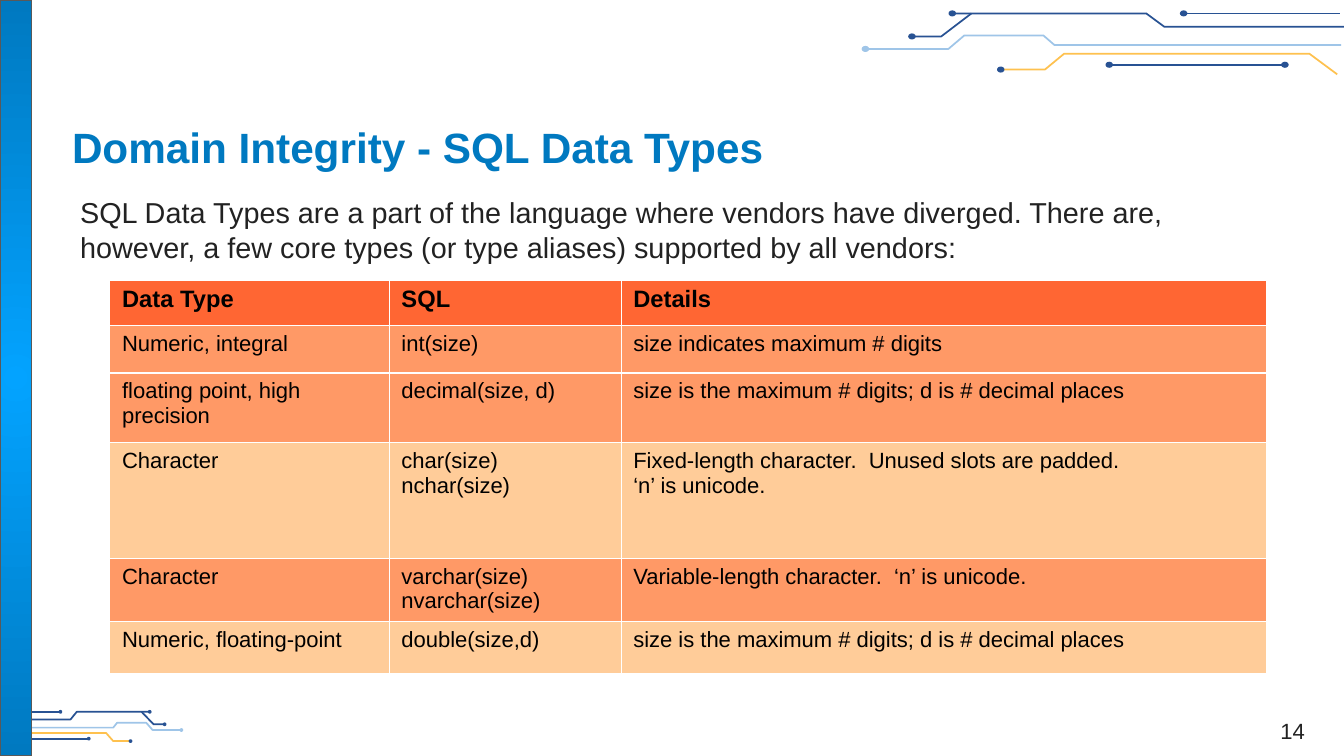
from lxml import etree
from pptx import Presentation
from pptx.dml.color import RGBColor
from pptx.enum.shapes import MSO_CONNECTOR, MSO_SHAPE
from pptx.enum.text import MSO_ANCHOR, MSO_AUTO_SIZE, PP_ALIGN
from pptx.oxml import parse_xml
from pptx.oxml.ns import nsdecls, qn
from pptx.util import Cm, Pt

STRAIGHT = MSO_CONNECTOR.STRAIGHT
OVAL, RECTANGLE = MSO_SHAPE.OVAL, MSO_SHAPE.RECTANGLE
TOP, MIDDLE, BOTTOM = MSO_ANCHOR.TOP, MSO_ANCHOR.MIDDLE, MSO_ANCHOR.BOTTOM
LEFT, CENTER = PP_ALIGN.LEFT, PP_ALIGN.CENTER
NO_AUTOFIT = MSO_AUTO_SIZE.NONE
TITLE_ONLY = 5

NAVY = RGBColor(0x28, 0x52, 0x93)
SKY = RGBColor(0x9F, 0xC5, 0xE8)
GOLD = RGBColor(0xFE, 0xC1, 0x4F)
BLUE = RGBColor(0x00, 0x79, 0xC0)
BRIGHT_BLUE = RGBColor(0x03, 0xA3, 0xFF)
GRAY = RGBColor(0x59, 0x59, 0x59)
INK = RGBColor(0x22, 0x22, 0x22)
BLACK = RGBColor(0x00, 0x00, 0x00)
HEADER_ORANGE = RGBColor(0xFF, 0x66, 0x33)
ORANGE = RGBColor(0xFF, 0x99, 0x66)
PEACH = RGBColor(0xFF, 0xCC, 0x99)

BOTTOM_TRACES = [
    (NAVY, [(0.08, 14.99), (1.47, 14.99), (1.6, 14.83), (3.12, 14.83)]),
    (NAVY, [(2.95, 14.83), (3.2, 15.09), (3.43, 15.09)]),
    (NAVY, [(0, 14.83), (1.26, 14.83)]),
    (GOLD, [(0.03, 15.49), (0.25, 15.27), (2.21, 15.27), (2.36, 15.44), (2.72, 15.44)]),
    (NAVY, [(0.46, 15.39), (1.85, 15.39)]),
    (SKY, [(0.18, 15.16), (2.36, 15.16), (2.44, 15.06), (3.05, 15.06),
           (3.18, 15.21), (3.78, 15.21)]),
]
TOP_TRACES = [
    (NAVY, [(28, 0.56), (24.26, 0.56), (23.88, 0.28), (19.84, 0.28)]),
    (NAVY, [(20.24, 0.28), (19.61, 0.76), (19, 0.76)]),
    (NAVY, [(27.91, 0.28), (24.66, 0.28)]),
    (GOLD, [(27.86, 1.55), (27.28, 1.12), (22.17, 1.12), (21.77, 1.45), (20.85, 1.45)]),
    (NAVY, [(26.77, 1.35), (23.11, 1.35)]),
    (SKY, [(27.94, 0.94), (21.97, 0.94), (21.74, 0.74), (20.09, 0.74),
           (19.76, 1.02), (18.03, 1.02)]),
]
DOUBLE_DOT_TRACE = 4

COLUMN_WIDTHS = [5.82, 4.83, 13.44]
DECIMAL_DETAILS = "size is the maximum # digits; d is # decimal places"
DATA_TYPE_ROWS = [
    (0.94, HEADER_ORANGE, ["Data Type", "SQL", "Details"]),
    (0.99, ORANGE, ["Numeric, integral", "int(size)", "size indicates maximum # digits"]),
    (1.45, ORANGE, ["floating point, high precision", "decimal(size, d)", DECIMAL_DETAILS]),
    (2.41, PEACH, ["Character", "char(size)\nnchar(size)",
                   "Fixed-length character.  Unused slots are padded.\n‘n’ is unicode."]),
    (1.32, ORANGE, ["Character", "varchar(size)\nnvarchar(size)",
                    "Variable-length character.  ‘n’ is unicode."]),
    (1.09, PEACH, ["Numeric, floating-point", "double(size,d)", DECIMAL_DETAILS]),
]


class SlideBuilder:
    font = "Arial"
    trace_width = Pt(1.03)
    thin_line = Pt(0.75)

    def __init__(self, presentation):
        self.slide = presentation.slides.add_slide(presentation.slide_layouts[TITLE_ONLY])
        self.shapes = self.slide.shapes

    def add_runs(self, frame, text, size, color, bold=False, align=LEFT, before=0):
        for index, line in enumerate(text.split("\n")):
            paragraph = frame.paragraphs[0] if index == 0 else frame.add_paragraph()
            paragraph.alignment = align
            paragraph.space_before = Pt(before)
            run = paragraph.add_run()
            run.text = line
            run.font.name = self.font
            run.font.size = Pt(size)
            run.font.bold = bold
            run.font.color.rgb = color

    def place_text(self, shape, box, inset, anchor, text, size, color, **style):
        shape.left, shape.top, shape.width, shape.height = map(Cm, box)
        frame = shape.text_frame
        frame.word_wrap = True
        frame.auto_size = NO_AUTOFIT
        frame.vertical_anchor = anchor
        frame.margin_left = frame.margin_right = Cm(0.2)
        frame.margin_top = frame.margin_bottom = Cm(inset)
        self.add_runs(frame, text, size, color, **style)

    def title(self, box, text):
        self.place_text(self.shapes.title, box, 0.2, MIDDLE, text, 25, BLUE, bold=True)

    def text(self, box, inset, anchor, text, size, **style):
        shape = self.shapes.add_textbox(*map(Cm, box))
        self.place_text(shape, box, inset, anchor, text, size, INK, **style)

    def trace(self, color, points):
        corners = [(Cm(x), Cm(y)) for x, y in points]
        if len(corners) == 2:
            shape = self.shapes.add_connector(STRAIGHT, *corners[0], *corners[1])
            etree.SubElement(shape._element.spPr, qn("a:effectLst"))
        else:
            outline = self.shapes.build_freeform(*corners[0])
            outline.add_line_segments(corners[1:], close=False)
            shape = outline.convert_to_shape()
            shape.fill.background()
            shape.shadow.inherit = False
        shape.line.color.rgb = color
        shape.line.width = self.trace_width
        if len(corners) == 2:
            properties = shape._element.spPr
            properties.append(properties.find(qn("a:effectLst")))

    def dot(self, center, width, height, color):
        x, y = center
        shape = self.shapes.add_shape(
            OVAL, Cm(x - width / 2), Cm(y - height / 2), Cm(width), Cm(height))
        shape.shadow.inherit = False
        shape.fill.solid()
        shape.fill.fore_color.rgb = color
        shape.line.color.rgb = color
        shape.line.width = self.thin_line

    def circuit(self, traces, dot_width, dot_height):
        for color, points in traces:
            self.trace(color, points)
            dot_color = SKY if color == SKY else NAVY
            self.dot(points[-1], dot_width, dot_height, dot_color)
        self.dot(traces[DOUBLE_DOT_TRACE][1][0], dot_width, dot_height, NAVY)

    def side_bar(self, width, height):
        shape = self.shapes.add_shape(RECTANGLE, 0, 0, Cm(width), Cm(height))
        shape.shadow.inherit = False
        shape.line.color.rgb = GRAY
        shape.line.width = self.thin_line
        shape.fill.gradient()
        for stop, color in zip(shape.fill.gradient_stops, (BRIGHT_BLUE, BLUE)):
            stop.color.rgb = color
        gradient = shape._element.spPr.find(qn("a:gradFill"))
        linear = gradient.find(qn("a:lin"))
        gradient.replace(linear, parse_xml(
            f'<a:path {nsdecls("a")} path="circle">'
            '<a:fillToRect l="50000" t="50000" r="50000" b="50000"/></a:path>'))

    def cell_borders(self, cell):
        properties = cell._tc.get_or_add_tcPr()
        for index, side in enumerate(("lnL", "lnR", "lnT", "lnB")):
            properties.insert(index, parse_xml(
                f'<a:{side} {nsdecls("a")} w="{int(self.thin_line)}"><a:solidFill>'
                f'<a:srgbClr val="FFFFFF"/></a:solidFill></a:{side}>'))

    def table(self, left, top, widths, rows):
        heights = [height for height, _, _ in rows]
        table = self.shapes.add_table(
            len(rows), len(widths), Cm(left), Cm(top), Cm(sum(widths)), Cm(sum(heights))).table
        table.horz_banding = False
        for column, width in zip(table.columns, widths):
            column.width = Cm(width)
        for row_index, (height, color, texts) in enumerate(rows):
            table.rows[row_index].height = Cm(height)
            is_header = row_index == 0
            for cell, text in zip(table.rows[row_index].cells, texts):
                cell.fill.solid()
                cell.fill.fore_color.rgb = color
                self.cell_borders(cell)
                size = 14 if is_header else 13
                self.add_runs(cell.text_frame, text, size, BLACK, bold=is_header)


def main():
    presentation = Presentation()
    presentation.slide_width = Cm(28)
    presentation.slide_height = Cm(15.75)
    builder = SlideBuilder(presentation)
    builder.circuit(BOTTOM_TRACES, 0.05, 0.05)
    builder.circuit(TOP_TRACES, 0.13, 0.1)
    builder.side_bar(0.66, 15.75)
    builder.title((1.3, 2.24, 24.87, 1.63), "Domain Integrity - SQL Data Types")
    builder.text(
        (1.47, 3.86, 25.07, 1.73), 0.2, TOP,
        "SQL Data Types are a part of the language where vendors have diverged. There are, "
        "however, a few core types (or type aliases) supported by all vendors:",
        17, before=8)
    builder.table(2.29, 5.84, COLUMN_WIDTHS, DATA_TYPE_ROWS)
    builder.text((26.04, 14.35, 1.78, 1.24), 0.1, BOTTOM, "14", 13, align=CENTER)
    presentation.save("out.pptx")


if __name__ == "__main__":
    main()
